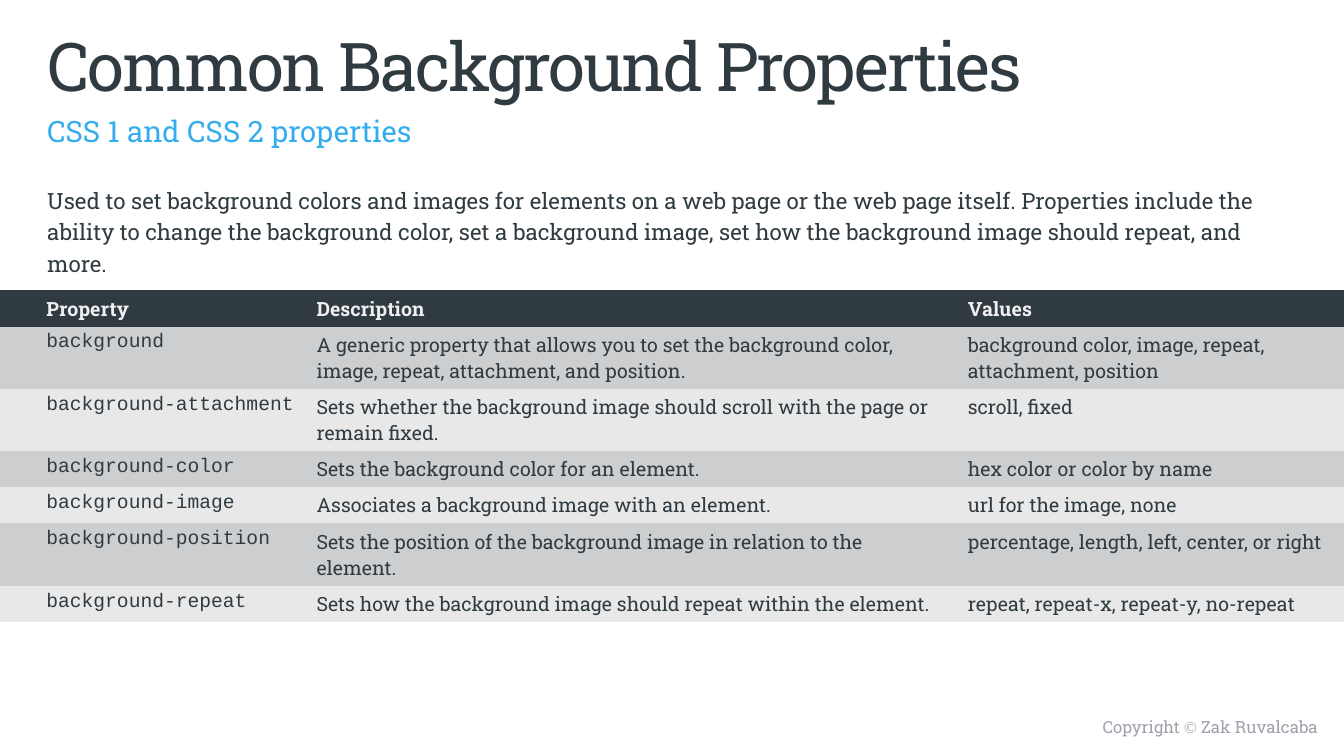
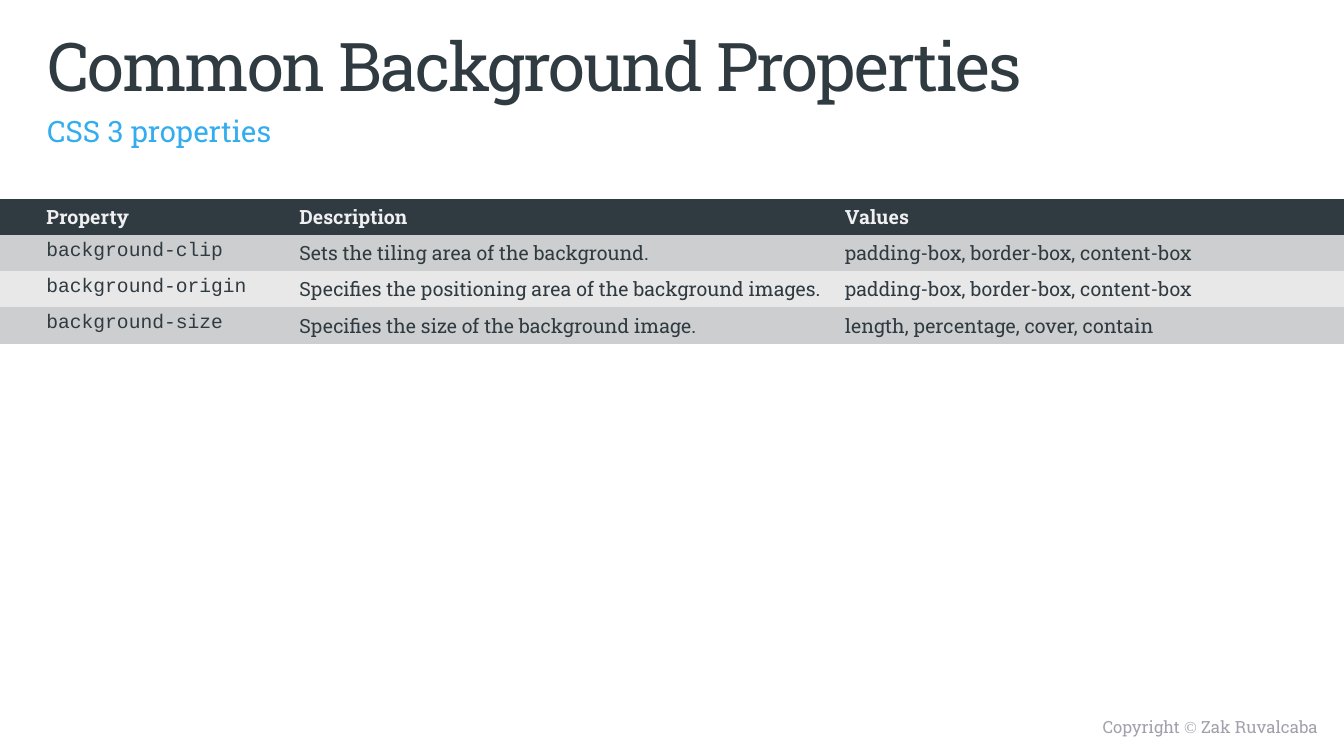
from pptx import Presentation
from pptx.dml.color import RGBColor
from pptx.enum.text import MSO_ANCHOR, MSO_AUTO_SIZE, PP_ALIGN
from pptx.oxml.ns import qn
from pptx.util import Inches, Pt

TOP, MIDDLE = MSO_ANCHOR.TOP, MSO_ANCHOR.MIDDLE
LEFT, RIGHT = PP_ALIGN.LEFT, PP_ALIGN.RIGHT
NO_FIT = MSO_AUTO_SIZE.NONE
TITLE_ONLY = 5
NO_GRID = "{2D5ABB26-0587-4C30-8999-92F81FD0307C}"
SLAB, CODE, TIMES = "Roboto Slab", "Courier New", "Times New Roman"
COLORS = {
    "dark": "303B41",
    "blue": "34ADEF",
    "pale": "F0F0F2",
    "gray": "A1A1AD",
    "odd": "CDCECF",
    "even": "E8E8E9",
}
HEADS = ("Property", "Description", "Values")
EDGE = 0.37


def color(name):
    return RGBColor.from_string(COLORS[name])


class Deck:
    def __init__(self):
        self.prs = Presentation()
        self.prs.slide_width = Inches(13.33)
        self.prs.slide_height = Inches(7.5)
        self.slide = None

    def start(self, title, topic):
        """Add a slide with its title, subtitle and footer."""
        layout = self.prs.slide_layouts[TITLE_ONLY]
        self.slide = self.prs.slides.add_slide(layout)
        self.footer()
        self.title(title)
        self.text(topic, 0.99, 11.76, 0.39, 21, "blue", 1.3)

    def run(self, para, text, size, tone, font=SLAB, bold=False):
        run = para.add_run()
        run.text = text
        run.font.size = Pt(size)
        run.font.name = font
        run.font.bold = bold
        run.font.color.rgb = color(tone)
        return run

    def frame(self, shape, anchor=TOP, align=LEFT):
        """Set up a shape's text frame and return its first paragraph."""
        frame = shape.text_frame
        frame.word_wrap = True
        frame.auto_size = NO_FIT
        frame.vertical_anchor = anchor
        frame.margin_top = frame.margin_bottom = Inches(0.03)
        para = frame.paragraphs[0]
        para.alignment = align
        return para

    def box(self, left, top, width, height):
        return self.slide.shapes.add_textbox(
            Inches(left), Inches(top), Inches(width), Inches(height))

    def footer(self):
        para = self.frame(self.box(6.77, 7.06, 6.4, 0.31), MIDDLE, RIGHT)
        for text, font in (("Copyright ", SLAB), ("© ", TIMES),
                           ("Zak Ruvalcaba", SLAB)):
            self.run(para, text, 12, "gray", font)

    def title(self, text):
        shape = self.slide.shapes.title
        shape.left, shape.top = Inches(EDGE), Inches(0.21)
        shape.width, shape.height = Inches(11.76), Inches(0.79)
        run = self.run(self.frame(shape), text, 48, "dark")
        run.font._element.set("spc", "-150")

    def text(self, text, top, width, height, size, tone, gap):
        para = self.frame(self.box(EDGE, top, width, height))
        para.line_spacing = gap
        self.run(para, text, size, tone)

    def table(self, top, widths, rows):
        """Add a full-width table with a dark head and banded rows."""
        rows = [HEADS, *rows]
        high = 0.36
        shape = self.slide.shapes.add_table(
            len(rows), len(widths), Inches(0), Inches(top),
            Inches(sum(widths)), Inches(high * len(rows)))
        next(shape._element.iter(qn("a:tableStyleId"))).text = NO_GRID
        table = shape.table
        table.horz_banding = False
        for col, width in zip(table.columns, widths):
            col.width = Inches(width)
        for r, row in enumerate(rows):
            table.rows[r].height = Inches(high)
            head = r == 0
            band = "dark" if head else ("even", "odd")[r % 2]
            for c, text in enumerate(row):
                cell = table.cell(r, c)
                cell.fill.solid()
                cell.fill.fore_color.rgb = color(band)
                cell.vertical_anchor = MIDDLE if head else TOP
                if c == 0:
                    cell.margin_left = Inches(0.46)
                font = CODE if c == 0 and not head else SLAB
                self.run(cell.text_frame.paragraphs[0], text, 14,
                         "pale" if head else "dark", font, head)


def main():
    deck = Deck()
    title = "Common Background Properties"

    deck.start(title, "CSS 1 and CSS 2 properties")
    deck.text(
        "Used to set background colors and images for elements on a web page "
        "or the web page itself. Properties include the ability to change the "
        "background color, set a background image, set how the background "
        "image should repeat, and more.",
        1.78, 12.68, 0.94, 16, "dark", 1.17)
    deck.table(2.88, (3.04, 6.46, 3.83), [
        ("background",
         "A generic property that allows you to set the background color, "
         "image, repeat, attachment, and position.",
         "background color, image, repeat, attachment, position"),
        ("background-attachment",
         "Sets whether the background image should scroll with the page or "
         "remain fixed.",
         "scroll, fixed"),
        ("background-color",
         "Sets the background color for an element.",
         "hex color or color by name"),
        ("background-image",
         "Associates a background image with an element.",
         "url for the image, none"),
        ("background-position",
         "Sets the position of the background image in relation to the "
         "element.",
         "percentage, length, left, center, or right"),
        ("background-repeat",
         "Sets how the background image should repeat within the element.",
         "repeat, repeat-x, repeat-y, no-repeat"),
    ])

    deck.start(title, "CSS 3 properties")
    deck.table(1.97, (2.87, 5.41, 5.05), [
        ("background-clip",
         "Sets the tiling area of the background.",
         "padding-box, border-box, content-box"),
        ("background-origin",
         "Specifies the positioning area of the background images.",
         "padding-box, border-box, content-box"),
        ("background-size",
         "Specifies the size of the background image.",
         "length, percentage, cover, contain"),
    ])

    deck.prs.save("out.pptx")


if __name__ == "__main__":
    main()
